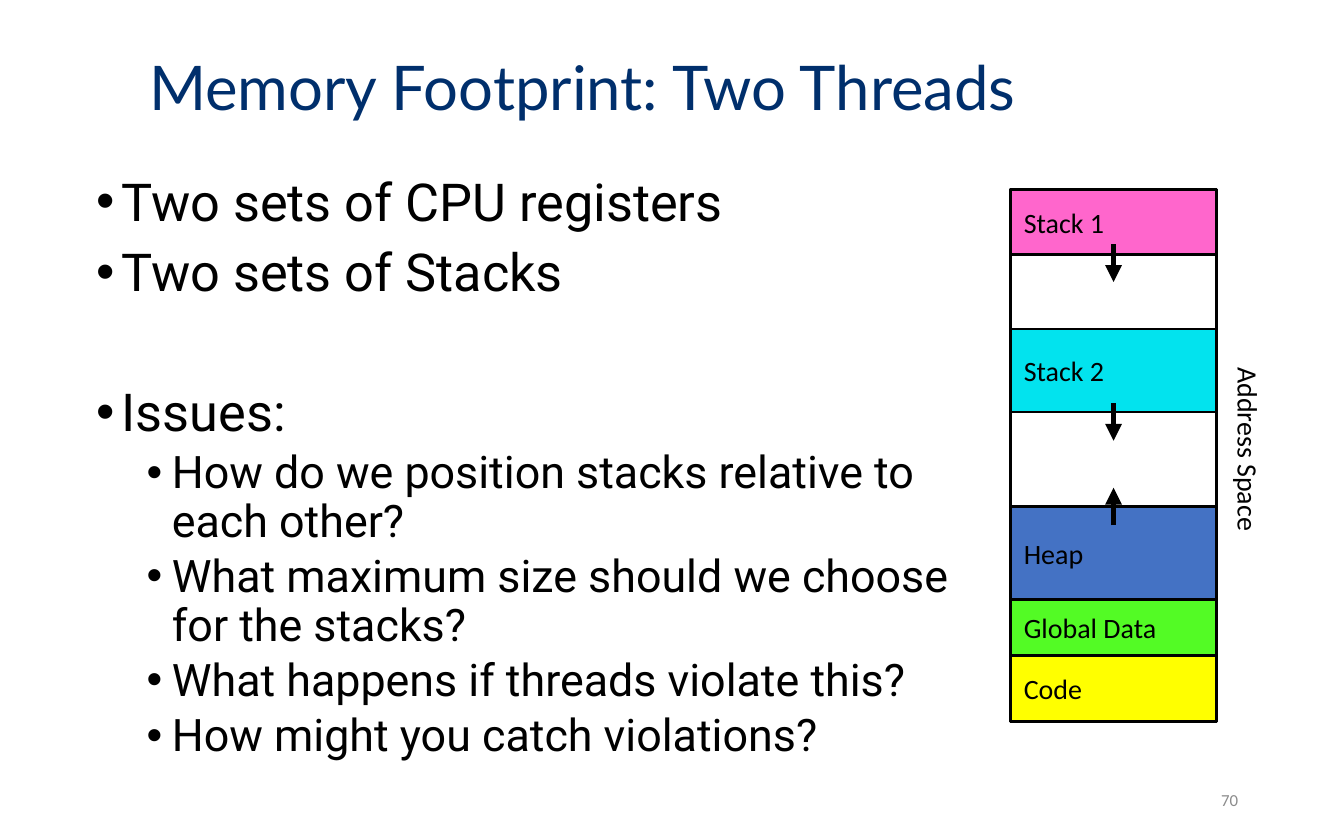
from dataclasses import dataclass

from lxml import etree
from pptx import Presentation
from pptx import util as u
from pptx.dml.color import RGBColor
from pptx.enum import shapes, text
from pptx.oxml.ns import qn


@dataclass(frozen=True)
class Theme:
    """Hold the fonts, type sizes and colours of the slide."""
    title_font: str = "Lato"
    body_font: str = "Roboto"
    label_font: str = "Calibri"
    title_size: int = 33
    point_size: int = 28
    question_size: int = 24
    label_size: int = 15
    number_size: int = 9
    navy: str = "002F6C"
    black: str = "000000"
    grey: str = "8C8C8C"
    white: str = "FFFFFF"
    pink: str = "FF66CC"
    cyan: str = "02E3EE"
    blue: str = "4472C4"
    green: str = "53FB25"
    yellow: str = "FFFF00"


THEME = Theme()
COLUMN_LEFT, COLUMN_WIDTH = 19.1, 3.89
COLUMN_TOP, COLUMN_BOTTOM = 3.58, 13.64
SEGMENTS = [
    ("Code", 12.4, 1.24, THEME.yellow),
    ("Global Data", 11.33, 1.07, THEME.green),
    ("Heap", 9.58, 1.75, THEME.blue),
    ("Stack 1", COLUMN_TOP, 1.24, THEME.pink),
    ("Stack 2", 6.22, 1.57, THEME.cyan),
]
GROWTH_ARROWS = [(4.62, 5.33), (7.62, 8.33), (9.93, 9.22)]
POINTS = [
    (0, 0, ["Two sets of CPU registers"]),
    (0, 7.5, ["Two sets of Stacks"]),
    (0, 45, ["Issues:"]),
    (1, 3.8, ["How do we position stacks relative to", "each other?"]),
    (1, 3.8, ["What maximum size should we choose", "for the stacks?"]),
    (1, 3.8, ["What happens if threads violate this?"]),
    (1, 3.8, ["How might you catch violations?"]),
]


def add_run(paragraph, words, font, size, color):
    """Append one styled run to a paragraph."""
    run = paragraph.add_run()
    run.text = words
    run.font.name = font
    run.font.size = u.Pt(size)
    run.font.color.rgb = RGBColor.from_string(color)


def add_text_frame(parent, left, top, width, height, anchor, wrap=True):
    """Add a text box and return it with its frame set up."""
    box = parent.add_textbox(u.Cm(left), u.Cm(top), u.Cm(width), u.Cm(height))
    box.text_frame.word_wrap = wrap
    box.text_frame.vertical_anchor = anchor
    return box


def add_title(slide):
    """Add the slide heading."""
    heading = add_text_frame(slide.shapes, 2.57, 0.18, 18.26, 3.07, text.MSO_ANCHOR.MIDDLE)
    paragraph = heading.text_frame.paragraphs[0]
    paragraph.line_spacing = 0.9
    add_run(paragraph, "Memory Footprint: Two Threads",
            THEME.title_font, THEME.title_size, THEME.navy)


def set_bullet(paragraph, level):
    """Give a paragraph its level, hanging indent and bullet."""
    paragraph.level = level
    properties = paragraph._p.get_or_add_pPr()
    properties.set("marL", str(u.Cm(0.48 + 0.95 * level)))
    properties.set("indent", str(u.Cm(-0.48)))
    etree.SubElement(properties, qn("a:buFont"), typeface="Arial")
    etree.SubElement(properties, qn("a:buChar"), char="•")


def add_points(slide):
    """Add the two-level list of points and questions."""
    body = add_text_frame(slide.shapes, 1.57, 3.2, 18.87, 11.81, text.MSO_ANCHOR.TOP)
    frame = body.text_frame
    for index, (level, space, lines) in enumerate(POINTS):
        paragraph = frame.add_paragraph() if index else frame.paragraphs[0]
        set_bullet(paragraph, level)
        paragraph.line_spacing = 0.9
        paragraph.space_before = u.Pt(space)
        size = THEME.question_size if level else THEME.point_size
        for number, line in enumerate(lines):
            if number:
                paragraph.add_line_break()
            add_run(paragraph, line, THEME.body_font, size, THEME.black)


def add_segment(group, label, top, height, color):
    """Add one outlined block of the address space."""
    segment = group.shapes.add_shape(shapes.MSO_SHAPE.RECTANGLE, u.Cm(COLUMN_LEFT), u.Cm(top),
                                     u.Cm(COLUMN_WIDTH), u.Cm(height))
    segment.shadow.inherit = False
    segment.fill.solid()
    segment.fill.fore_color.rgb = RGBColor.from_string(color)
    segment.line.color.rgb = RGBColor.from_string(THEME.black)
    segment.line.width = u.Pt(1.5)
    if label:
        segment.text_frame.vertical_anchor = text.MSO_ANCHOR.MIDDLE
        paragraph = segment.text_frame.paragraphs[0]
        paragraph.alignment = text.PP_ALIGN.LEFT
        add_run(paragraph, label, THEME.label_font, THEME.label_size, THEME.black)


def add_growth_arrow(group, start, end):
    """Add a vertical arrow showing where a segment grows."""
    center = u.Cm(COLUMN_LEFT + COLUMN_WIDTH / 2)
    arrow = group.shapes.add_connector(shapes.MSO_CONNECTOR.STRAIGHT,
                                       center, u.Cm(start), center, u.Cm(end))
    arrow.line.color.rgb = RGBColor.from_string(THEME.black)
    arrow.line.width = u.Pt(3)
    etree.SubElement(arrow.line._get_or_add_ln(), qn("a:tailEnd"), type="triangle")
    etree.SubElement(arrow._element.spPr, qn("a:effectLst"))


def add_address_space(slide):
    """Add the memory column with its arrows and side label."""
    group = slide.shapes.add_group_shape()
    add_segment(group, "", COLUMN_TOP, COLUMN_BOTTOM - COLUMN_TOP, THEME.white)
    for segment in SEGMENTS:
        add_segment(group, *segment)
    for start, end in GROWTH_ARROWS:
        add_growth_arrow(group, start, end)
    caption = add_text_frame(group.shapes, 21.77, 8.08, 3.66, 0.89,
                             text.MSO_ANCHOR.TOP, wrap=False)
    caption.rotation = 90
    add_run(caption.text_frame.paragraphs[0], "Address Space",
            THEME.label_font, THEME.label_size, THEME.black)


def add_slide_number(slide):
    """Add the page number at the lower right."""
    number = add_text_frame(slide.shapes, 17.93, 14.71, 5.72, 0.84, text.MSO_ANCHOR.MIDDLE)
    paragraph = number.text_frame.paragraphs[0]
    paragraph.alignment = text.PP_ALIGN.RIGHT
    add_run(paragraph, "70", THEME.label_font, THEME.number_size, THEME.grey)


def main():
    """Build the slide and save it."""
    deck = Presentation()
    deck.slide_width, deck.slide_height = u.Cm(25.4), u.Cm(15.88)
    slide = deck.slides.add_slide(deck.slide_layouts[6])
    add_title(slide)
    add_points(slide)
    add_address_space(slide)
    add_slide_number(slide)
    deck.save("out.pptx")


if __name__ == "__main__":
    main()
